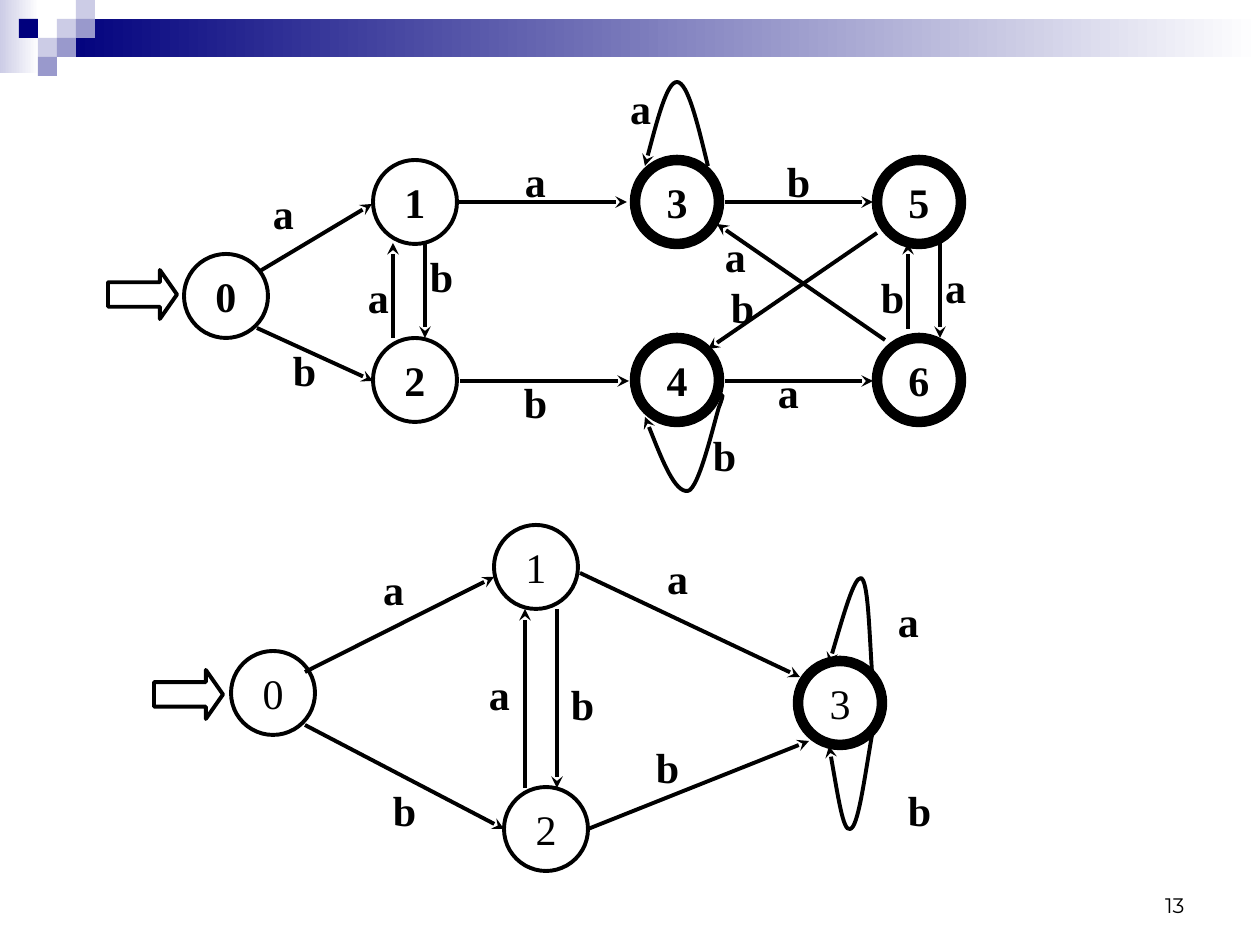
from lxml import etree
from pptx import Presentation
from pptx import util as u
from pptx.dml.color import RGBColor
from pptx.enum import shapes, text
from pptx.oxml.ns import qn

PX = 914400 / 126
DIAMETER = 84
THIN, THICK = 2.25, 6
COLORS = {"ink": "000000", "navy": "00007D", "lilac": "CCCCE6",
          "violet": "9999CC", "white": "FFFFFF"}

# Each state: name, centre x, centre y, line width
# Each label: letter, centre x, centre y
# Each loop: start point, then three points for every Bezier segment
UPPER = {
    "entry": (108, 270),
    "bold": True,
    "states": [("0", 226, 296, THIN), ("1", 415, 202, THIN), ("2", 415, 380, THIN),
               ("3", 677, 202, THICK), ("4", 677, 380, THICK),
               ("5", 919, 202, THICK), ("6", 919, 380, THICK)],
    "edges": [(260, 271, 372, 204), (459, 202, 627, 202), (725, 202, 873, 202),
              (257, 328, 373, 381), (460, 381, 629, 381), (725, 381, 873, 381),
              (425, 243, 425, 338), (393, 338, 393, 243), (908, 329, 908, 243),
              (940, 243, 940, 338), (877, 233, 708, 349), (885, 340, 717, 224)],
    "labels": [("a", 283, 212), ("a", 535, 180), ("b", 798, 180), ("b", 304, 369),
               ("b", 535, 401), ("a", 788, 391), ("b", 441, 275), ("a", 378, 296),
               ("a", 955, 286), ("b", 892, 296), ("a", 735, 255), ("b", 742, 306),
               ("a", 640, 107), ("b", 724, 454)],
    "loops": [
        [(708, 166), (698, 125), (688, 82), (677, 82),
         (667, 82), (656, 125), (645, 166)],
        [(719, 397), (722, 394), (725, 392), (719, 407), (714, 423),
         (699, 489), (688, 491), (675, 493), (660, 455), (645, 417)],
    ],
}
LOWER = {
    "entry": (154, 670),
    "bold": False,
    "states": [("0", 273, 693, THIN), ("1", 536, 567, THIN),
               ("2", 546, 829, THIN), ("3", 840, 703, THICK)],
    "edges": [(305, 672, 494, 577), (580, 573, 800, 677), (305, 725, 504, 829),
              (557, 609, 557, 788), (525, 788, 525, 609), (588, 829, 809, 741)],
    "labels": [("a", 393, 588), ("a", 908, 620), ("b", 404, 809), ("b", 919, 809),
               ("b", 582, 703), ("a", 499, 693), ("a", 677, 577), ("b", 667, 766)],
    "loops": [
        [(872, 672), (869, 626), (868, 581), (861, 578),
         (854, 577), (842, 620), (829, 664)],
        [(872, 735), (864, 781), (858, 828), (850, 829),
         (843, 832), (837, 789), (829, 746)],
    ],
}


def px(*lengths):
    return [u.Emu(round(length * PX)) for length in lengths]


def rgb(name):
    return RGBColor.from_string(COLORS[name])


def outline(shape, width=THIN):
    shape.line.color.rgb = rgb("ink")
    shape.line.width = u.Pt(width)


def add_arrowhead(shape):
    etree.SubElement(shape.line._get_or_add_ln(), qn("a:tailEnd"), type="stealth")


def write(shape, words, size=24, font="Times New Roman", bold=False,
          align=text.PP_ALIGN.CENTER, anchor=text.MSO_ANCHOR.MIDDLE):
    frame = shape.text_frame
    frame.word_wrap = False
    frame.vertical_anchor = anchor
    frame.text = words
    line = frame.paragraphs[0]
    line.alignment = align
    face = line.runs[0].font
    face.name, face.size, face.bold = font, u.Pt(size), bold
    face.color.rgb = rgb("ink")


def add_block(parent, box, *colors):
    """A borderless rectangle: one colour is solid, two make a gradient."""
    block = parent.add_shape(shapes.MSO_SHAPE.RECTANGLE, *px(*box))
    block.shadow.inherit = False
    block.line.fill.background()
    if len(colors) == 1:
        block.fill.solid()
        block.fill.fore_color.rgb = rgb(colors[0])
        return
    block.fill.gradient()
    block.fill.gradient_angle = 0
    for stop, color in zip(block.fill.gradient_stops, colors):
        stop.color.rgb = rgb(color)


def add_outlined(parent, kind, box, width=THIN):
    shape = parent.add_shape(kind, *px(*box))
    shape.shadow.inherit = False
    shape.fill.background()
    outline(shape, width)
    return shape


def add_state(parent, name, x, y, width, bold):
    box = (x - DIAMETER / 2, y - DIAMETER / 2, DIAMETER, DIAMETER)
    write(add_outlined(parent, shapes.MSO_SHAPE.OVAL, box, width), name, bold=bold)


def add_entry(parent, x, y):
    entry = add_outlined(parent, shapes.MSO_SHAPE.RIGHT_ARROW, (x, y, 69, 49))
    entry.adjustments[0], entry.adjustments[1] = 0.5, 0.35


def add_edge(parent, ends):
    edge = parent.add_connector(shapes.MSO_CONNECTOR.STRAIGHT, *px(*ends))
    outline(edge)
    add_arrowhead(edge)
    etree.SubElement(edge._element.spPr, qn("a:effectLst"))


def add_label(parent, letter, x, y):
    write(parent.add_textbox(*px(x - 36, y - 31, 73, 63)), letter, bold=True)


def add_loop(parent, points):
    builder = parent.build_freeform(*points[0], scale=PX)
    builder.add_line_segments(points[1:], close=False)
    loop = builder.convert_to_shape()
    loop.shadow.inherit = False
    loop.fill.background()
    outline(loop)
    add_arrowhead(loop)
    # Turn every three straight segments into one Bezier curve
    segments = list(loop._element.iter(qn("a:lnTo")))
    for first in range(0, len(segments), 3):
        curve = etree.Element(qn("a:cubicBezTo"))
        segments[first].addprevious(curve)
        for segment in segments[first:first + 3]:
            curve.append(segment[0])
            segment.getparent().remove(segment)


def add_banner(slide):
    banner = slide.shapes.add_group_shape().shapes
    add_block(banner, (0, 0, 39, 73), "lilac", "white")
    add_block(banner, (57, 19, 1203, 38), "navy", "white")
    tile = 19
    for column, row, color in [(3, 1, "lilac"), (4, 0, "lilac"), (4, 1, "violet"),
                               (2, 2, "lilac"), (1, 1, "navy"), (3, 2, "violet"),
                               (2, 3, "violet")]:
        add_block(banner, ((column * tile), row * tile, tile, tile), color)


def add_automaton(slide, automaton):
    group = slide.shapes.add_group_shape().shapes
    for state in automaton["states"]:
        add_state(group, *state, automaton["bold"])
    for ends in automaton["edges"]:
        add_edge(group, ends)
    for label in automaton["labels"]:
        add_label(group, *label)
    for points in automaton["loops"]:
        add_loop(group, points)
    add_entry(group, *automaton["entry"])


def main():
    deck = Presentation()
    deck.slide_width, deck.slide_height = px(1260, 945)
    slide = deck.slides.add_slide(deck.slide_layouts[6])

    # Banner and page number
    add_banner(slide)
    page_number = slide.shapes.add_textbox(*px(903, 861, 294, 63))
    write(page_number, "13", size=12, font="Montserrat",
          align=text.PP_ALIGN.RIGHT, anchor=text.MSO_ANCHOR.BOTTOM)
    page_number.text_frame.word_wrap = True

    # The automaton and its reduced form
    for automaton in (UPPER, LOWER):
        add_automaton(slide, automaton)

    deck.save("out.pptx")


if __name__ == "__main__":
    main()
